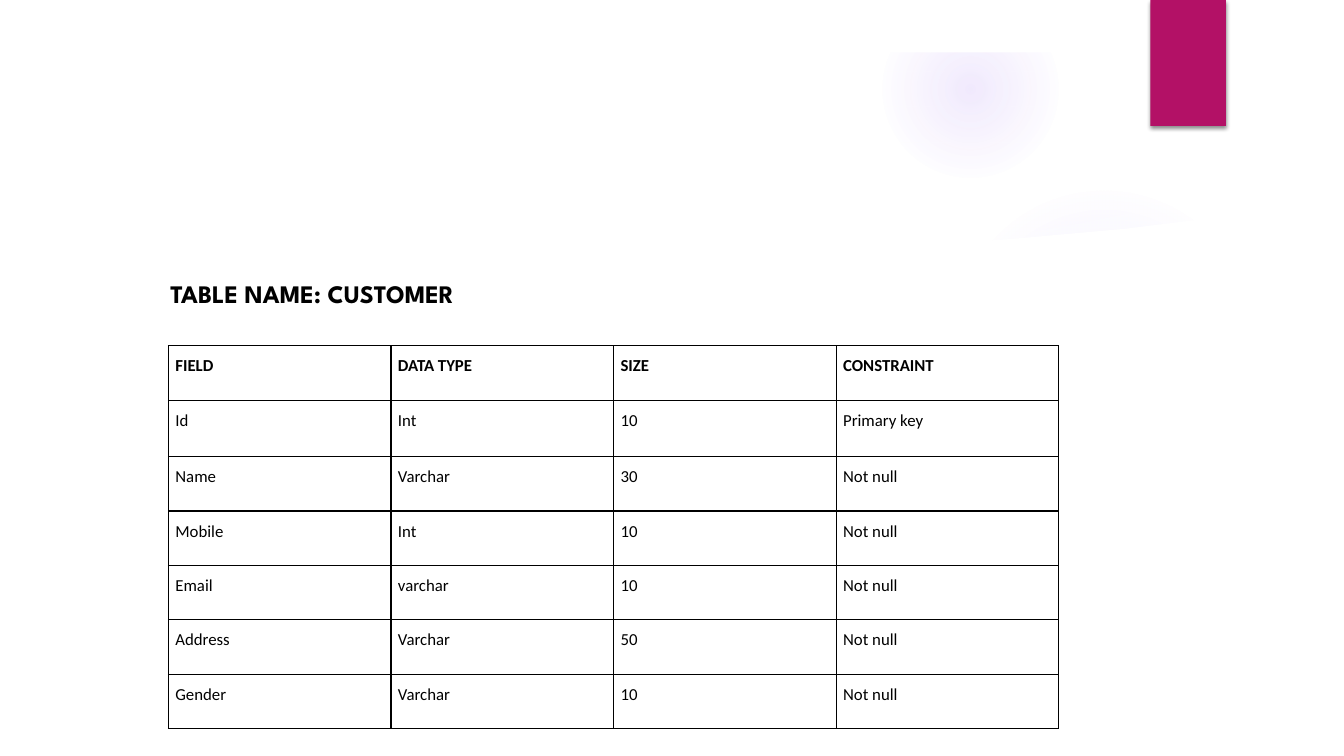
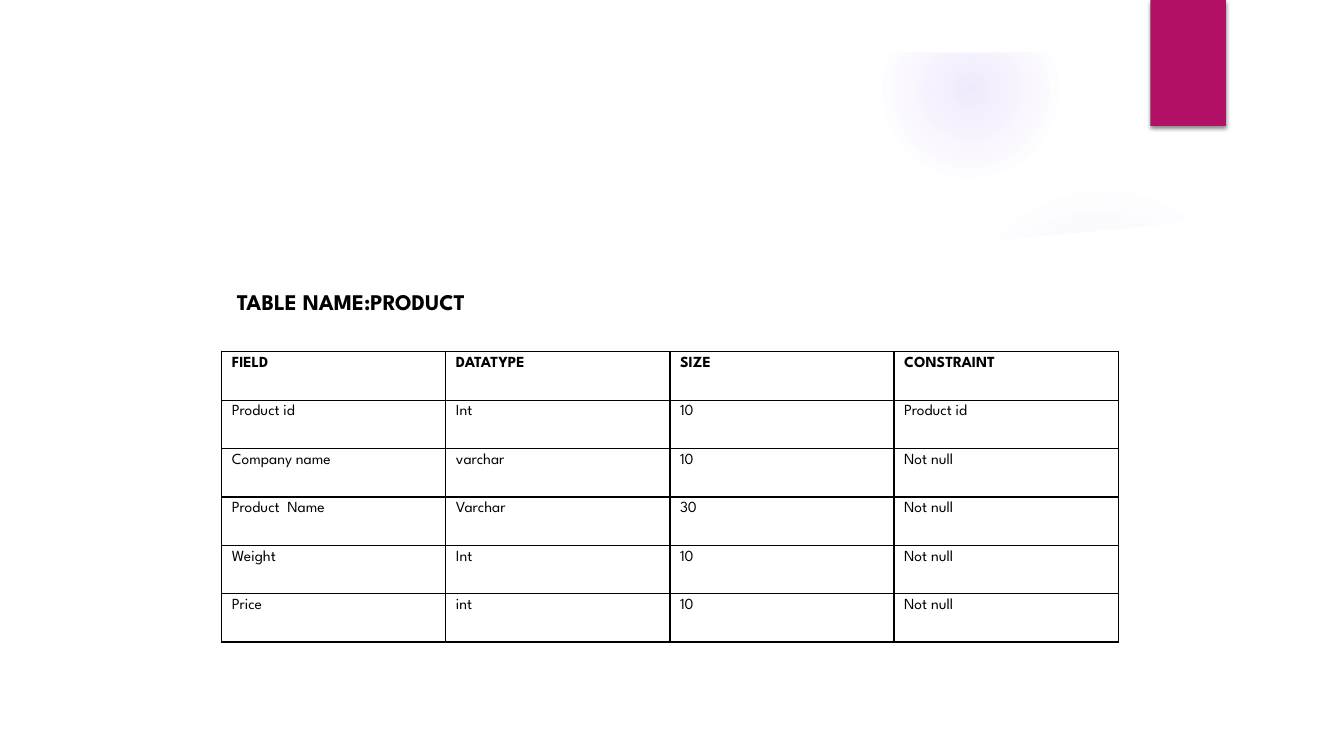
from dataclasses import dataclass
from typing import Any

from pptx import Presentation
from pptx.dml.color import RGBColor
from pptx.enum.shapes import MSO_SHAPE
from pptx.enum.text import MSO_ANCHOR
from pptx.oxml import parse_xml
from pptx.oxml.ns import nsdecls, qn
from pptx.util import Inches, Pt

OVAL = MSO_SHAPE.OVAL
RECT = MSO_SHAPE.RECTANGLE
MIDDLE = MSO_ANCHOR.MIDDLE

BLACK = RGBColor(0x00, 0x00, 0x00)
WHITE = RGBColor(0xFF, 0xFF, 0xFF)
PINK = RGBColor(0xB3, 0x11, 0x66)
VIOLET = RGBColor(0x9B, 0x6B, 0xF2)
SPARTAN = "League Spartan"
CALIBRI = "Calibri"
WIDE, HIGH = 13.33, 7.5

PANEL = [
    (0.5, 2.04), (0.5, 7), (12.84, 7), (12.84, 2.04), (12.28, 2.13),
    (11.72, 2.2), (11.16, 2.27), (10.6, 2.32), (10.04, 2.37), (9.49, 2.41),
    (8.94, 2.44), (8.13, 2.46), (7.08, 2.48), (6.07, 2.47), (5.11, 2.44),
    (4.01, 2.38), (2.83, 2.3), (1.87, 2.21), (1.13, 2.12),
]
WISP = [
    (9.34, 2.5), (10.5, 2.45), (11.7, 2.31), (12.89, 2.14), (12.83, 1.66),
    (12.25, 1.85), (11.67, 2), (11.09, 2.14), (10.53, 2.25), (9.99, 2.34),
    (9.3, 2.43),
]


@dataclass(frozen=True)
class Disc:
    left: float
    top: float
    size: float
    stops: tuple[tuple[int, int], ...]


@dataclass(frozen=True)
class Sheet:
    title: str
    box: tuple[float, float, float, float]
    points: int
    left: float
    top: float
    width: float
    heights: tuple[float, ...]
    font: dict[str, Any]
    para: dict[str, Any]
    cell: dict[str, Any]
    solid: bool
    rows: tuple[tuple[str, ...], ...]


DISCS = (
    Disc(9.41, 1.83, 3.08, ((0, 7), (36, 6), (69, 0))),
    Disc(8.75, 0.01, 1.75, ((0, 14), (36, 7), (73, 0))),
)

SHEETS = (
    Sheet(
        "TABLE NAME: CUSTOMER", (1.59, 2.62, 9.25, 0.59), 18,
        1.67, 3.43, 8.83, (0.54, 0.56) + (0.54,) * 5,
        {"name": CALIBRI, "size": Pt(12)},
        {"line_spacing": 1.5, "space_before": Pt(5), "space_after": Pt(10)},
        {"margin_left": Inches(0.07), "margin_right": Inches(0.07),
         "margin_top": 0, "margin_bottom": 0},
        True,
        (
            ("FIELD", "DATA TYPE", "SIZE", "CONSTRAINT"),
            ("Id", "Int", "10", "Primary key"),
            ("Name", "Varchar", "30", "Not null"),
            ("Mobile", "Int", "10", "Not null"),
            ("Email", "varchar", "10", "Not null"),
            ("Address", "Varchar", "50", "Not null"),
            ("Gender", "Varchar", "10", "Not null"),
        ),
    ),
    Sheet(
        "TABLE NAME:PRODUCT", (2.25, 2.7, 8.59, 0.59), 16,
        2.2, 3.49, 8.89, (0.48,) * 6,
        {"name": SPARTAN, "size": Pt(11)}, {}, {}, False,
        (
            ("FIELD", "DATATYPE", "SIZE", "CONSTRAINT"),
            ("Product id", "Int", "10", "Product id"),
            ("Company name", "varchar", "10", "Not null"),
            ("Product  Name", "Varchar", "30", "Not null"),
            ("Weight", "Int", "10", "Not null"),
            ("Price", "int", "10", "Not null"),
        ),
    ),
)


def style(item: Any, values: dict[str, Any]) -> None:
    for name, value in values.items():
        setattr(item, name, value)


def paint(shape: Any, color: RGBColor) -> None:
    shape.shadow.inherit = False
    shape.line.fill.background()
    shape.fill.solid()
    shape.fill.fore_color.rgb = color


def add_disc(slide: Any, disc: Disc) -> None:
    size = Inches(disc.size)
    shape = slide.shapes.add_shape(
        OVAL, Inches(disc.left), Inches(disc.top), size, size)
    paint(shape, VIOLET)
    stops = "".join(
        f'<a:gs pos="{pos * 1000}"><a:srgbClr val="{VIOLET}">'
        f'<a:alpha val="{alpha * 1000}"/></a:srgbClr></a:gs>'
        for pos, alpha in disc.stops)
    grad = parse_xml(
        f'<a:gradFill {nsdecls("a")}><a:gsLst>{stops}</a:gsLst>'
        '<a:path path="circle"><a:fillToRect l="50000" t="50000" '
        'r="50000" b="50000"/></a:path></a:gradFill>')
    props = shape.element.spPr
    props.replace(props.find(qn("a:solidFill")), grad)


def add_outline(slide: Any, points: list[tuple[float, float]]) -> Any:
    spots = [(Inches(x), Inches(y)) for x, y in points]
    pen = slide.shapes.build_freeform(*spots[0])
    pen.add_line_segments(spots[1:], close=True)
    shape = pen.convert_to_shape()
    paint(shape, WHITE)
    return shape


def add_rect(slide: Any, left: float, width: float, height: float,
             color: RGBColor) -> Any:
    shape = slide.shapes.add_shape(
        RECT, Inches(left), 0, Inches(width), Inches(height))
    paint(shape, color)
    return shape


def add_decor(slide: Any) -> None:
    slide.background.fill.solid()
    slide.background.fill.fore_color.rgb = WHITE
    for disc in DISCS:
        add_disc(slide, disc)
    wisp = add_outline(slide, WISP)
    tint = wisp.element.spPr.find(qn("a:solidFill"))[0]
    tint.append(parse_xml(f'<a:alpha {nsdecls("a")} val="20000"/>'))
    add_outline(slide, PANEL)
    add_rect(slide, 0, WIDE, 0.52, WHITE)
    tab = add_rect(slide, 11.41, 0.75, 1.25, PINK)
    tab.element.spPr.find(qn("a:effectLst")).append(parse_xml(
        f'<a:outerShdw {nsdecls("a")} blurRad="{Pt(3)}" dist="{Pt(2)}" '
        f'dir="5400000" rotWithShape="0"><a:srgbClr val="{BLACK}">'
        '<a:alpha val="45000"/></a:srgbClr></a:outerShdw>'))


def write(para: Any, text: str, values: dict[str, Any]) -> None:
    run = para.add_run()
    run.text = text
    style(run.font, values)
    run.font.color.rgb = BLACK


def add_title(slide: Any, sheet: Sheet) -> None:
    box = slide.shapes.add_textbox(*(Inches(size) for size in sheet.box))
    frame = box.text_frame
    style(frame, {"word_wrap": True, "vertical_anchor": MIDDLE})
    write(frame.paragraphs[0], sheet.title,
          {"name": SPARTAN, "size": Pt(sheet.points), "bold": True})


def add_border(cell: Any) -> None:
    props = cell._tc.get_or_add_tcPr()
    for index, side in enumerate("LRTB"):
        props.insert(index, parse_xml(
            f'<a:ln{side} {nsdecls("a")} w="{Pt(1)}"><a:solidFill>'
            f'<a:srgbClr val="{BLACK}"/></a:solidFill></a:ln{side}>'))


def add_grid(slide: Any, sheet: Sheet) -> None:
    count = len(sheet.rows[0])
    table = slide.shapes.add_table(
        len(sheet.rows), count, Inches(sheet.left), Inches(sheet.top),
        Inches(sheet.width), Inches(sum(sheet.heights))).table
    style(table, {"first_row": False, "horz_banding": False})
    for column in table.columns:
        column.width = Inches(sheet.width / count)
    for row, high in zip(table.rows, sheet.heights):
        row.height = Inches(high)
    for r, texts in enumerate(sheet.rows):
        for c, text in enumerate(texts):
            cell = table.cell(r, c)
            style(cell, sheet.cell)
            if sheet.solid:
                cell.fill.solid()
                cell.fill.fore_color.rgb = WHITE
            else:
                cell.fill.background()
            add_border(cell)
            para = cell.text_frame.paragraphs[0]
            style(para, sheet.para)
            write(para, text, {**sheet.font, "bold": r == 0})


def main() -> None:
    deck = Presentation()
    style(deck, {"slide_width": Inches(WIDE), "slide_height": Inches(HIGH)})
    for sheet in SHEETS:
        slide = deck.slides.add_slide(deck.slide_layouts[6])
        add_decor(slide)
        add_title(slide, sheet)
        add_grid(slide, sheet)
    deck.save("out.pptx")


if __name__ == "__main__":
    main()
